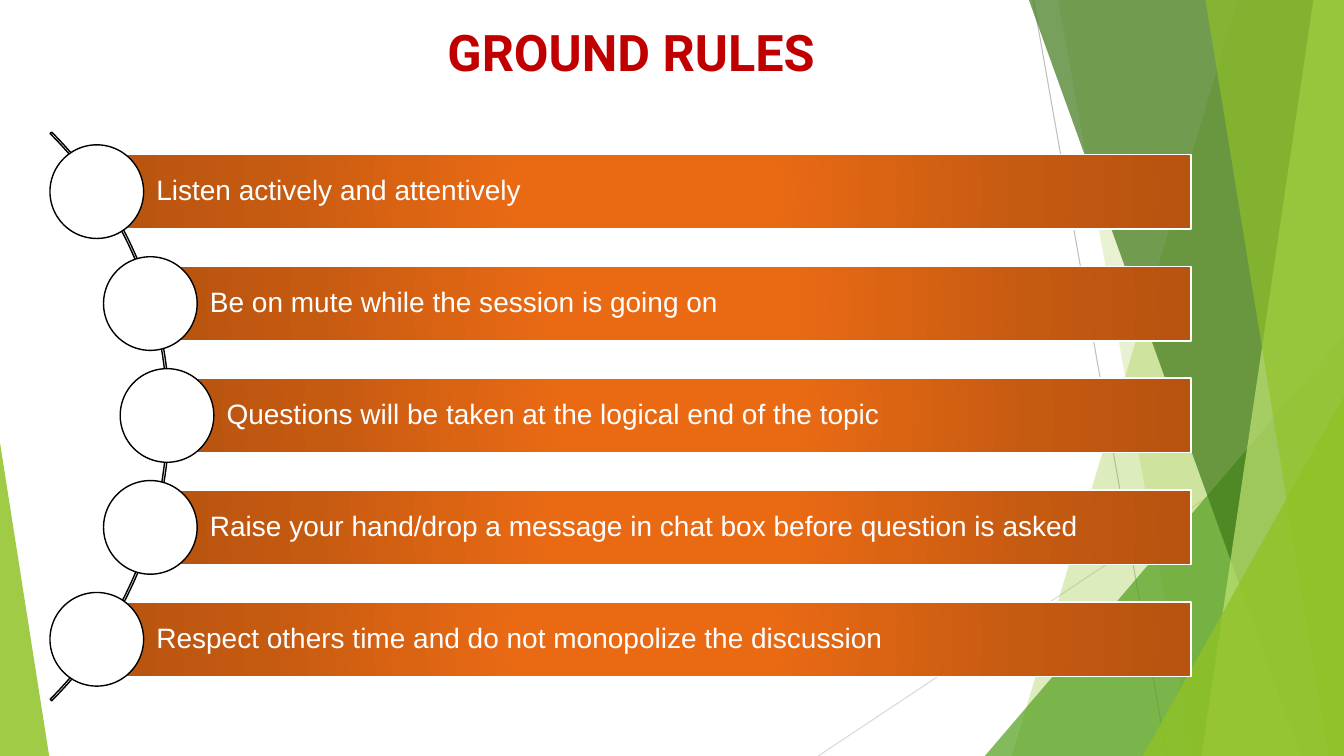
from lxml import etree
from pptx import Presentation
from pptx.dml.color import RGBColor
from pptx.enum.shapes import MSO_CONNECTOR, MSO_SHAPE
from pptx.enum.text import MSO_ANCHOR, MSO_AUTO_SIZE, PP_ALIGN
from pptx.oxml import parse_xml
from pptx.oxml.ns import nsdecls, qn
from pptx.util import Cm, Pt

STRAIGHT = MSO_CONNECTOR.STRAIGHT
ARC, BAR, CIRCLE = MSO_SHAPE.BLOCK_ARC, MSO_SHAPE.RECTANGLE, MSO_SHAPE.OVAL
TRIANGLE = MSO_SHAPE.ISOSCELES_TRIANGLE
MIDDLE, NO_FIT = MSO_ANCHOR.MIDDLE, MSO_AUTO_SIZE.NONE
LEFT, CENTER = PP_ALIGN.LEFT, PP_ALIGN.CENTER

WHITE = RGBColor(0xFF, 0xFF, 0xFF)
BLACK = RGBColor(0x00, 0x00, 0x00)
RED = RGBColor(0xC0, 0x00, 0x00)
GREY = RGBColor(0xBF, 0xBF, 0xBF)
PALE_GREY = RGBColor(0xD9, 0xD9, 0xD9)
LIME = RGBColor(0x90, 0xC2, 0x26)
PALE_LIME = RGBColor(0xC0, 0xE4, 0x74)
GREEN = RGBColor(0x54, 0xA0, 0x21)
DARK_GREEN = RGBColor(0x3F, 0x78, 0x19)
ORANGE = RGBColor(0xEA, 0x6A, 0x14)
MID_ORANGE = RGBColor(0xDB, 0x64, 0x13)
RUST = RGBColor(0xC5, 0x5A, 0x11)
BROWN = RGBColor(0xB8, 0x54, 0x10)

WIDTH, HEIGHT = 33.87, 19.05
BAR_STOPS = [(0, ORANGE), (23, ORANGE), (42, MID_ORANGE), (69, RUST), (97, BROWN), (100, BROWN)]
TITLE_FONT = dict(name="Roboto", size=Pt(36), bold=True)
BAR_FONT = dict(name="Arial", size=Pt(20), bold=False)


class SlideBuilder:
    """Draws styled elements on the current slide, with lengths in centimetres."""

    def __init__(self, s):
        self.s = s

    def paint(self, sp, fill=None, alpha=100, line=None):
        sp.shadow.inherit = False
        if fill is None:
            sp.fill.background()
        else:
            sp.fill.solid()
            sp.fill.fore_color.rgb = fill
            if alpha < 100:
                clr = sp.fill._xPr.find(".//" + qn("a:srgbClr"))
                etree.SubElement(clr, qn("a:alpha")).set("val", str(alpha * 1000))
        if line is None:
            sp.line.fill.background()
        else:
            sp.line.color.rgb = line
            sp.line.width = Pt(1)
        return sp

    def shape(self, kind, x, y, w, h, adj=(), **paint):
        sp = self.s.shapes.add_shape(kind, Cm(x), Cm(y), Cm(w), Cm(h))
        for i, value in enumerate(adj):
            sp.adjustments[i] = value
        return self.paint(sp, **paint)

    def band(self, top_x, bottom_x, fill, alpha):
        fb = self.s.shapes.build_freeform(Cm(top_x), 0)
        corners = [(WIDTH, 0), (WIDTH, HEIGHT), (bottom_x, HEIGHT)]
        fb.add_line_segments([(Cm(x), Cm(y)) for x, y in corners], close=True)
        self.paint(fb.convert_to_shape(), fill, alpha)

    def line(self, x1, y1, x2, y2, color):
        cn = self.s.shapes.add_connector(STRAIGHT, Cm(x1), Cm(y1), Cm(x2), Cm(y2))
        cn.line.color.rgb = color
        cn.line.width = Pt(0.75)
        etree.SubElement(cn._element.spPr, qn("a:effectLst"))

    def gradient(self, sp, stops):
        gs = "".join(f'<a:gs pos="{pos * 1000}"><a:srgbClr val="{color}"/></a:gs>'
                     for pos, color in stops)
        grad = parse_xml(
            f'<a:gradFill {nsdecls("a")} rotWithShape="1"><a:gsLst>{gs}</a:gsLst>'
            '<a:path path="circle"><a:fillToRect l="50000" t="50000" r="50000" b="50000"/>'
            '</a:path></a:gradFill>')
        spPr = sp._element.spPr
        spPr.replace(spPr.find(qn("a:solidFill")), grad)

    def text(self, sp, text, font, color, align, margins):
        tf = sp.text_frame
        left, top, right, bottom = map(Cm, margins)
        frame = dict(word_wrap=True, auto_size=NO_FIT, vertical_anchor=MIDDLE, margin_left=left,
                     margin_top=top, margin_right=right, margin_bottom=bottom)
        for name, value in frame.items():
            setattr(tf, name, value)
        p = tf.paragraphs[0]
        p.alignment, p.line_spacing, p.space_before = align, 0.9, Pt(0)
        r = p.add_run()
        r.text = text
        for name, value in font.items():
            setattr(r.font, name, value)
        r.font.color.rgb = color

    def title(self, text, x, y, w, h):
        sp = self.s.shapes.title
        sp.left, sp.top, sp.width, sp.height = Cm(x), Cm(y), Cm(w), Cm(h)
        self.text(sp, text, TITLE_FONT, RED, CENTER, (0.25, 0.13, 0.25, 0.13))

    def rule(self, text, x, y, right=30.02, h=1.88, d=2.36):
        bar = self.shape(BAR, x, y, right - x, h, fill=ORANGE, line=WHITE)
        self.gradient(bar, BAR_STOPS)
        self.text(bar, text, BAR_FONT, WHITE, LEFT, (1.5, 0.18, 0.18, 0.18))
        self.shape(CIRCLE, x - d / 2, y + (h - d) / 2, d, d, fill=WHITE, line=BLACK)


def main():
    prs = Presentation()
    prs.slide_width, prs.slide_height = Cm(WIDTH), Cm(HEIGHT)
    b = SlideBuilder(prs.slides.add_slide(prs.slide_layouts[5]))

    b.line(26.04, 0, 29.41, HEIGHT, GREY)
    b.line(WIDTH, 10.24, 20.62, HEIGHT, PALE_GREY)
    b.band(31.19, 25.5, LIME, 30)
    b.band(26.67, 30.05, LIME, 20)
    b.shape(TRIANGLE, 24.82, 8.46, 9.05, 10.59, [1], fill=GREEN, alpha=72)
    b.band(25.93, 32.79, DARK_GREEN, 70)
    b.band(33.1, 30.28, PALE_LIME, 70)
    b.band(30.38, 33.48, LIME, 65)
    b.shape(TRIANGLE, 28.8, 9.98, 5.07, 9.07, [1], fill=LIME, alpha=80)
    b.shape(TRIANGLE, 0, 11.15, 1.24, 7.9, [0], fill=LIME, alpha=85)

    b.title("GROUND RULES", 1.3, -0.46, 29.21, 3.68)

    b.shape(ARC, -16, 0.36, 20.27, 20.27, [189, 27, 0.0027], line=BLACK)
    rules = [
        ("Listen actively and attentively", 2.44),
        ("Be on mute while the session is going on", 3.79),
        ("Questions will be taken at the logical end of the topic", 4.21),
        ("Raise your hand/drop a message in chat box before question is asked", 3.79),
        ("Respect others time and do not monopolize the discussion", 2.44),
    ]
    for i, (text, x) in enumerate(rules):
        b.rule(text, x, 3.89 + i * 2.82)

    prs.save("out.pptx")


if __name__ == "__main__":
    main()
